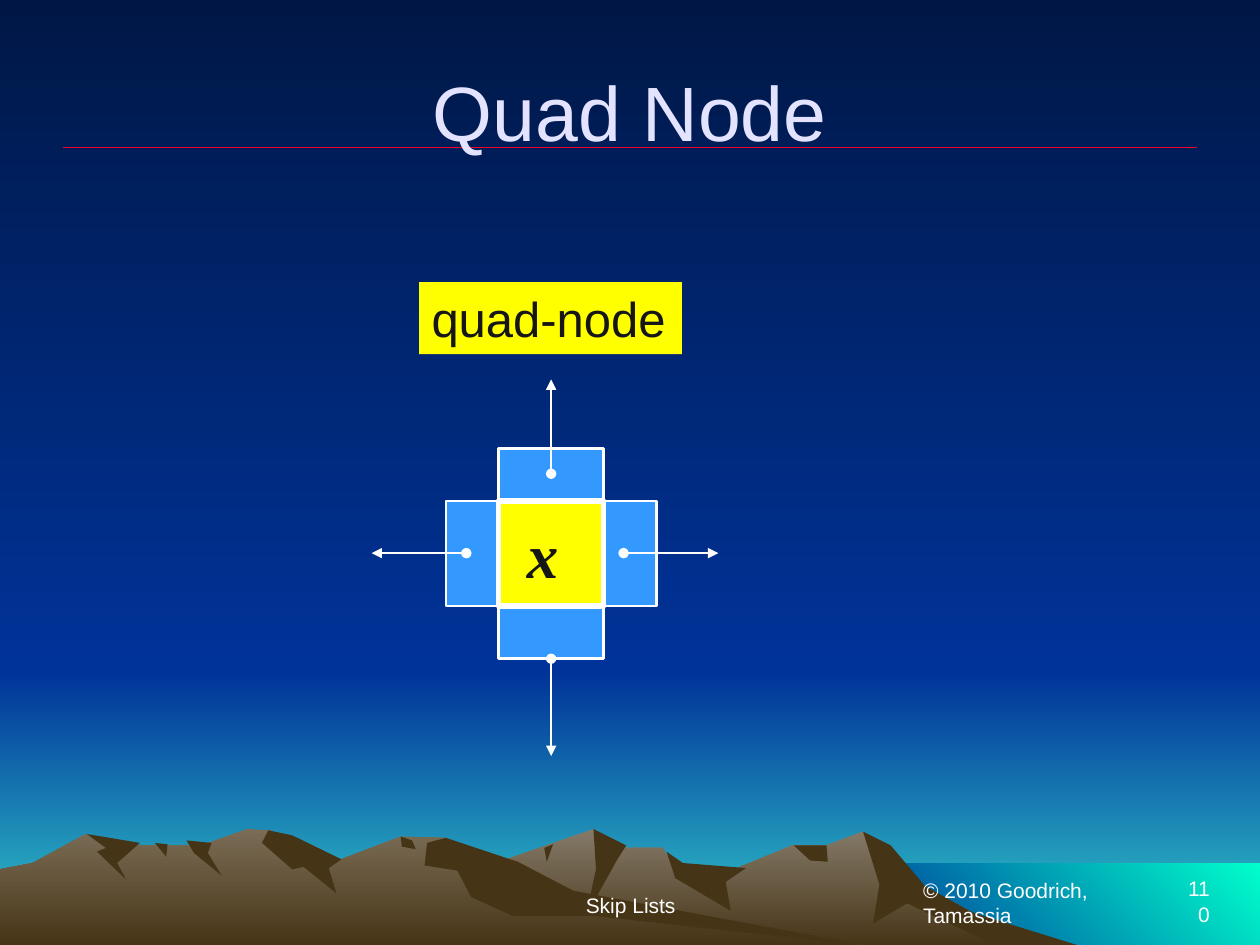
"""Builds the Quad Node slide of a lecture on skip lists."""
from lxml import etree
from pptx import Presentation
from pptx import util as u
from pptx.dml import color
from pptx.enum import shapes, text
from pptx.oxml import ns

NIGHT, BLUE, EARTH, WHITE, YELLOW, INK = "001746", "003399", "463416", "FFFFFF", "FFFF00", "161616"


def paint(fill, *colours, angle=270):
    if len(colours) == 1:
        fill.solid()
        fill.fore_color.rgb = color.RGBColor.from_string(colours[0])
        return
    fill.gradient()
    fill.gradient_angle = angle
    for stop, colour in zip(fill.gradient_stops, colours):
        stop.color.rgb = color.RGBColor.from_string(colour)


def write(holder, words, size, colour, align="LEFT", anchor="BOTTOM", font="Arial", wrap=True):
    frame = holder.text_frame
    frame.word_wrap = wrap
    frame.vertical_anchor = getattr(text.MSO_ANCHOR, anchor)
    paragraph = frame.paragraphs[0]
    paragraph.text = words
    paragraph.alignment = getattr(text.PP_ALIGN, align)
    paragraph.font.size = u.Pt(size)
    paragraph.font.name = font
    paint(paragraph.font.fill, colour)
    return paragraph


deck = Presentation()
deck.slide_width, deck.slide_height = u.Cm(25.4), u.Cm(19.05)
slide = deck.slides.add_slide(deck.slide_layouts[6])
canvas = slide.shapes
paint(slide.background.fill, NIGHT, BLUE)

scenery = [
    ((0, 13.54, 25.4, 5.51), (BLUE, "33CCCC"), 270),
    ((0, 0, 25.4, 13.54), (NIGHT, BLUE), 270),
    ((17.35, 17.4, 8.05, 1.65), (BLUE, "00FFCC"), 45),
]
for area, colours, angle in scenery:
    band = canvas.add_shape(shapes.MSO_SHAPE.RECTANGLE, *map(u.Cm, area))
    band.shadow.inherit = False
    band.line.fill.background()
    paint(band.fill, *colours, angle=angle)

mountains = [
    (("857A69", EARTH), [
        (821, 751), (723, 698), (685, 660), (656, 671), (629, 671), (566, 697), (536, 690), (526, 673),
        (486, 673), (471, 658), (394, 685), (327, 709), (258, 751)]),
    ((EARTH,), [
        (858, 751), (771, 724), (734, 703), (707, 671), (685, 660), (698, 702), (693, 733), (720, 717),
        (792, 751)]),
    ((EARTH,), [(471, 658), (473, 690), (465, 727), (490, 682), (497, 671)]),
    ((EARTH,), [(529, 676), (536, 697), (580, 723), (576, 700), (592, 689), (542, 685)]),
    ((EARTH,), [(630, 671), (643, 683), (657, 684), (656, 671)]),
    ((EARTH,), [(432, 673), (439, 670), (434, 684)]),
    (("7A6C55", EARTH), [
        (690, 751), (432, 712), (354, 665), (318, 664), (271, 682), (236, 681), (215, 659), (196, 658),
        (160, 671), (94, 671), (68, 662), (26, 685), (0, 690), (0, 751)]),
    ((EARTH,), [
        (213, 659), (208, 669), (232, 690), (241, 688), (267, 709), (261, 689), (271, 682), (232, 663)]),
    ((EARTH,), [
        (354, 665), (339, 669), (337, 687), (363, 691), (374, 712), (407, 727), (472, 727), (690, 751),
        (455, 707), (411, 684)]),
    ((EARTH,), [(318, 664), (327, 667), (330, 674), (319, 672)]),
    ((EARTH,), [(148, 667), (168, 669), (165, 677), (176, 695), (154, 677)]),
    ((EARTH,), [(123, 669), (133, 670), (132, 680)]),
    ((EARTH,), [(69, 662), (111, 669), (93, 685), (100, 698), (77, 676), (84, 673)]),
]
for colours, outline in mountains:
    builder = canvas.build_freeform(*outline[0], scale=u.Cm(2.54) / 100)
    builder.add_line_segments(outline[1:])
    slope = builder.convert_to_shape()
    slope.shadow.inherit = False
    slope.line.fill.background()
    paint(slope.fill, *colours)

labels = [
    ((18.36, 17.81, 5.33, 1.02), "© 2010 Goodrich, Tamassia", 12, WHITE, "LEFT", "BOTTOM"),
    ((8.69, 17.35, 8.05, 1.27), "Skip Lists", 12, WHITE, "CENTER", "BOTTOM"),
    ((23.62, 17.78, 1.02, 1.02), "110", 12, WHITE, "RIGHT", "BOTTOM"),
    ((1.27, 0.64, 22.86, 3.18), "Quad Node", 44, "E3E3FF", "CENTER", "MIDDLE"),
]
rule = canvas.add_connector(shapes.MSO_CONNECTOR.STRAIGHT, *map(u.Cm, (1.27, 2.97, 24.13, 2.97)))
paint(rule.line.fill, "EF0129")
rule.line.width = u.Pt(0.75)
etree.SubElement(rule._element.spPr, ns.qn("a:effectLst"))
for area, *style in labels:
    write(canvas.add_textbox(*map(u.Cm, area)), *style)

nodes = [
    (shapes.MSO_SHAPE.CROSS, (8.99, 9.04, 4.24, 4.24), "3399FF", 1.5),
    (shapes.MSO_SHAPE.RECTANGLE, (10.05, 10.1, 2.12, 2.12), YELLOW, 3),
    (shapes.MSO_SHAPE.RECTANGLE, (8.45, 5.69, 5.3, 1.45), YELLOW, 0),
]
drawn = []
for kind, area, colour, border in nodes:
    node = canvas.add_shape(kind, *map(u.Cm, area))
    node.shadow.inherit = False
    paint(node.fill, colour)
    if border:
        paint(node.line.fill, WHITE)
        node.line.width = u.Pt(border)
    else:
        node.line.fill.background()
    drawn.append(node)
links, element, caption = drawn
links.adjustments[0] = 0.25
symbol = write(element, "x", 36, INK, anchor="MIDDLE", font="Times New Roman")
symbol.font.bold = symbol.font.italic = True
element.text_frame.margin_left = u.Cm(0.57)
write(caption, "quad-node", 28, INK, anchor="TOP", wrap=False)

middle_x, middle_y = 11.11, 11.15
arrows = [
    (12.57, middle_y, 14.48, middle_y),
    (9.4, middle_y, 7.49, middle_y),
    (middle_x, 9.55, middle_x, 7.65),
    (middle_x, 13.28, middle_x, 15.24),
]
for ends in arrows:
    arrow = canvas.add_connector(shapes.MSO_CONNECTOR.STRAIGHT, *map(u.Cm, ends))
    paint(arrow.line.fill, WHITE)
    arrow.line.width = u.Pt(1.5)
    stroke = arrow._element.spPr.find(ns.qn("a:ln"))
    etree.SubElement(stroke, ns.qn("a:headEnd"), type="oval")
    etree.SubElement(stroke, ns.qn("a:tailEnd"), type="triangle")
    etree.SubElement(arrow._element.spPr, ns.qn("a:effectLst"))
arrow.begin_connect(links, 2)

deck.save("out.pptx")
